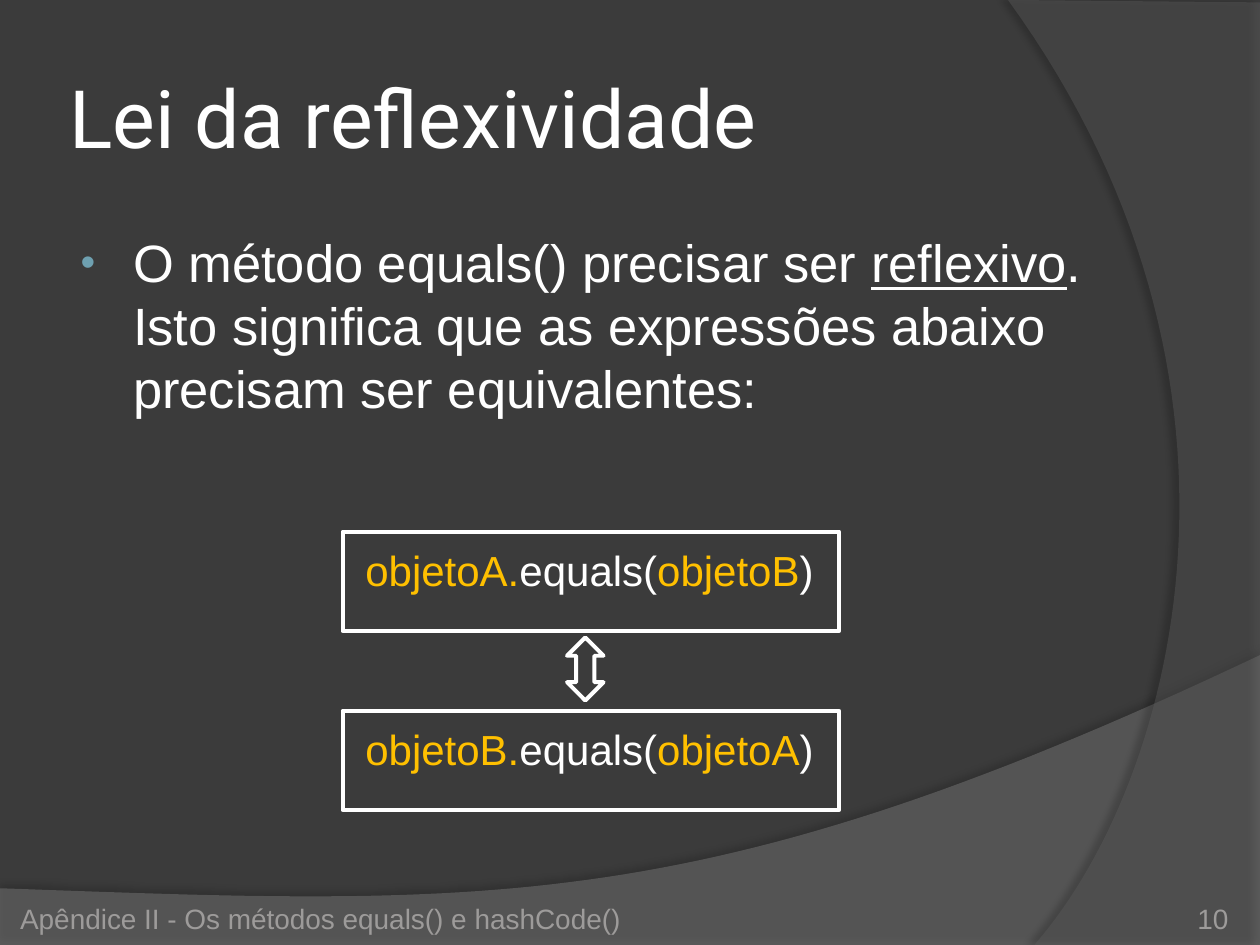
from dataclasses import dataclass

from lxml.etree import SubElement
from pptx import Presentation
from pptx.dml.color import RGBColor
from pptx.enum.shapes import MSO_SHAPE
from pptx.enum.text import MSO_ANCHOR, PP_ALIGN
from pptx.oxml.ns import qn
from pptx.util import Pt

COLORS = {
    "background": "3B3B3B",
    "hill": "7F7F7F",
    "arc": "5E5E5E",
    "shadow": "000000",
    "text": "FFFFFF",
    "object": "FFC000",
    "bullet": "6EA0B0",
    "footer": "9D9B9A",
}
Point = tuple[float, float]
Box = tuple[float, float, float, float]


@dataclass
class Run:
    text: str
    color: str = "text"
    underline: bool = False


@dataclass
class Swoosh:
    corners: list[Point]
    curve: tuple[Point, Point, Point]
    color: str
    opacity: int
    shadow_opacity: int
    shadow_distance: float
    shadow_angle: int


@dataclass
class Expression:
    caller: str
    argument: str
    top: float


def rgb(name: str) -> RGBColor:
    return RGBColor.from_string(COLORS[name])


def curve_points(start: Point, curve: tuple[Point, Point, Point], steps: int = 60) -> list[Point]:
    """Sample a cubic Bézier curve, leaving out its start."""
    points = []
    for step in range(1, steps + 1):
        t = step / steps
        weights = ((1 - t) ** 3, 3 * t * (1 - t) ** 2, 3 * t * t * (1 - t), t ** 3)
        controls = (start, *curve)
        points.append((
            sum(w * x for w, (x, _) in zip(weights, controls)),
            sum(w * y for w, (_, y) in zip(weights, controls)),
        ))
    return points


def add_alpha(color_element, percent: int) -> None:
    SubElement(color_element, qn("a:alpha"), val=str(percent * 1000))


def draw_swoosh(slide, swoosh: Swoosh) -> None:
    outline = swoosh.corners + curve_points(swoosh.corners[-1], swoosh.curve)
    first, *rest = [(Pt(x), Pt(y)) for x, y in outline]
    builder = slide.shapes.build_freeform(*first)
    builder.add_line_segments(rest, close=True)
    shape = builder.convert_to_shape()
    shape.fill.solid()
    shape.fill.fore_color.rgb = rgb(swoosh.color)
    shape.line.fill.background()
    shape.shadow.inherit = False
    properties = shape._element.spPr
    add_alpha(properties.find(qn("a:solidFill")).find(qn("a:srgbClr")), swoosh.opacity)
    shadow = SubElement(
        properties.find(qn("a:effectLst")), qn("a:outerShdw"),
        blurRad=str(Pt(4)), dist=str(Pt(swoosh.shadow_distance)),
        dir=str(swoosh.shadow_angle * 60000), algn="ctr", rotWithShape="0",
    )
    shadow_color = SubElement(shadow, qn("a:srgbClr"), val=COLORS["shadow"])
    add_alpha(shadow_color, swoosh.shadow_opacity)


def write_runs(shape, runs: list[Run], size: float, font: str = "Arial",
               align=PP_ALIGN.LEFT, anchor=MSO_ANCHOR.TOP, insets: Box = (0, 0, 0, 0)):
    """Fill the first paragraph; insets run left, top, right, bottom."""
    frame = shape.text_frame
    frame.word_wrap = True
    frame.vertical_anchor = anchor
    frame.margin_left, frame.margin_top, frame.margin_right, frame.margin_bottom = map(Pt, insets)
    paragraph = frame.paragraphs[0]
    paragraph.alignment = align
    for item in runs:
        run = paragraph.add_run()
        run.text = item.text
        run.font.size = Pt(size)
        run.font.name = font
        run.font.color.rgb = rgb(item.color)
        if item.underline:
            run.font.underline = True
    return paragraph


def add_text(slide, box: Box, runs: list[Run], size: float, **style):
    return write_runs(slide.shapes.add_textbox(*map(Pt, box)), runs, size, **style)


def add_bullet(paragraph) -> None:
    properties = paragraph._p.get_or_add_pPr()
    properties.set("marL", str(Pt(33)))
    properties.set("indent", str(Pt(-30)))
    bullet_color = SubElement(properties, qn("a:buClr"))
    SubElement(bullet_color, qn("a:srgbClr"), val=COLORS["bullet"])
    SubElement(properties, qn("a:buSzPct"), val="80000")
    SubElement(properties, qn("a:buFont"), typeface="Arial")
    SubElement(properties, qn("a:buChar"), char="•")


def add_outline(slide, preset, box: Box):
    shape = slide.shapes.add_shape(preset, *map(Pt, box))
    shape.fill.background()
    shape.line.color.rgb = rgb("text")
    shape.line.width = Pt(2.25)
    shape.shadow.inherit = False
    return shape


def draw_expression(slide, expression: Expression) -> None:
    frame = add_outline(slide, MSO_SHAPE.RECTANGLE, (195.8, expression.top, 283.7, 56.9))
    runs = [
        Run(f"{expression.caller}.", "object"),
        Run("equals("),
        Run(expression.argument, "object"),
        Run(")"),
    ]
    write_runs(frame, runs, 24, align=PP_ALIGN.CENTER, insets=(0, 7.5, 1.5, 0))


SWOOSHES = [
    Swoosh([(0, 507.6), (0, 540), (720, 540), (720, 374.4)],
           ((402.5, 524.9), (281.5, 517.7), (0, 507.6)), "hill", 45, 35, 3.5, 270),
    Swoosh([(720, 1.4), (720, 540), (591.1, 540)],
           ((673.2, 445.7), (733, 216), (576, 0)), "arc", 40, 45, 4, 180),
]
EXPRESSIONS = [
    Expression("objetoA", "objetoB", 303.8),
    Expression("objetoB", "objetoA", 406.1),
]


def main() -> None:
    presentation = Presentation()
    presentation.slide_width, presentation.slide_height = Pt(720), Pt(540)
    slide = presentation.slides.add_slide(presentation.slide_layouts[6])
    slide.background.fill.solid()
    slide.background.fill.fore_color.rgb = rgb("background")

    for swoosh in SWOOSHES:
        draw_swoosh(slide, swoosh)

    add_text(slide, (36, 21.6, 588.2, 90), [Run("Lei da reflexividade")], 46, font="Roboto",
             anchor=MSO_ANCHOR.MIDDLE, insets=(3.6, 3.6, 3.6, 3.6))
    rule = add_text(slide, (36, 128, 602, 120), [
        Run("O método equals() precisar ser "),
        Run("reflexivo", underline=True),
        Run(". Isto significa que as expressões abaixo precisam ser equivalentes:"),
    ], 30, insets=(7.2, 3.6, 7.2, 3.6))
    rule.line_spacing = Pt(36)
    add_bullet(rule)

    for expression in EXPRESSIONS:
        draw_expression(slide, expression)
    add_outline(slide, MSO_SHAPE.UP_DOWN_ARROW, (324, 364.3, 20.9, 36))

    add_text(slide, (11.5, 505.4, 438.5, 28.8),
             [Run("Apêndice II - Os métodos equals() e hashCode()", "footer")], 16,
             anchor=MSO_ANCHOR.BOTTOM)
    add_text(slide, (642.2, 505.4, 59.8, 28.8), [Run("10", "footer")], 16,
             align=PP_ALIGN.RIGHT, anchor=MSO_ANCHOR.BOTTOM)

    presentation.save("out.pptx")


if __name__ == "__main__":
    main()
